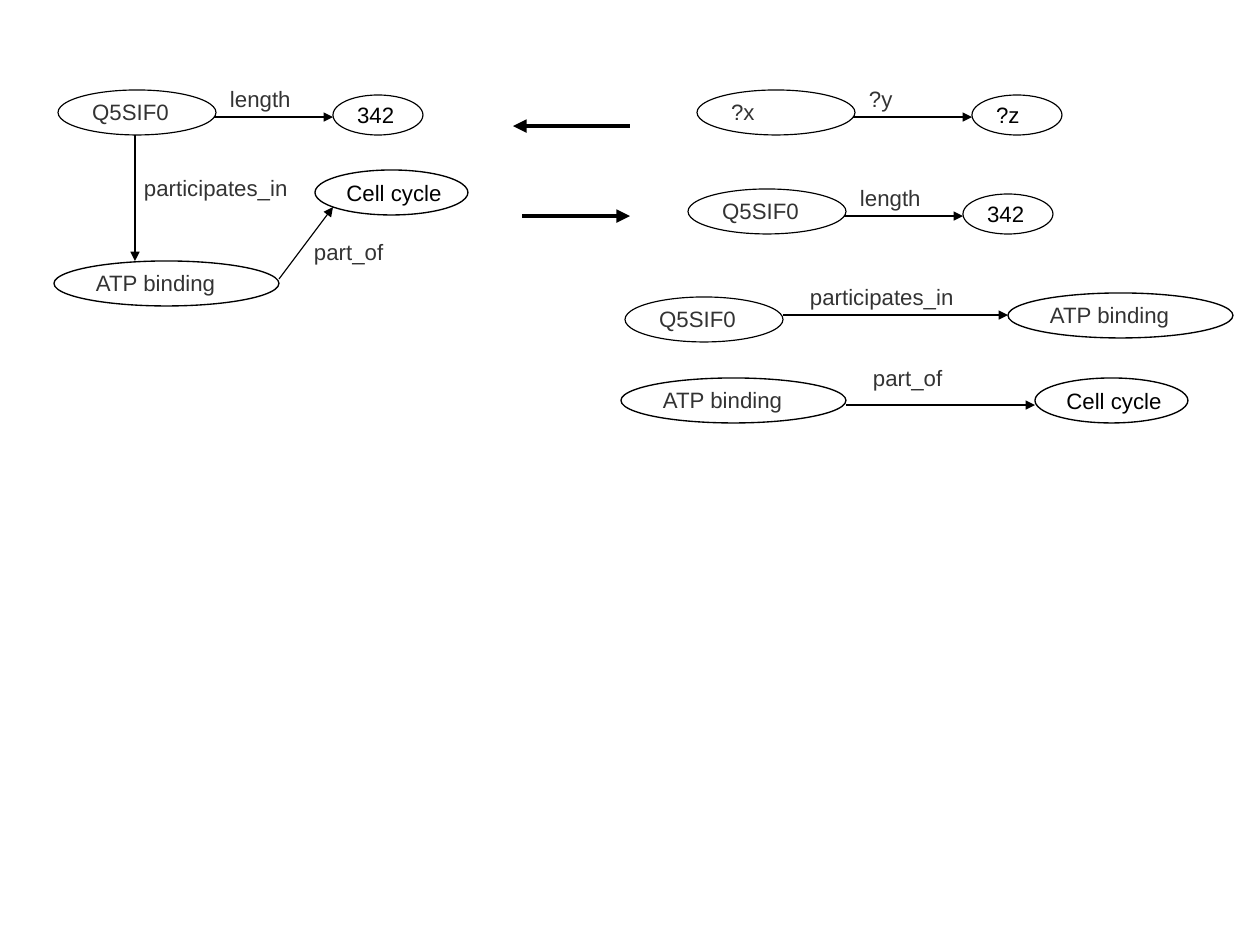
import pptx
import pptx.dml.color
import pptx.enum.shapes
import pptx.enum.text
import pptx.oxml
import pptx.oxml.ns
import pptx.util

EMU_PER_PX = 8000
BLACK, GREY = "000000", "333333"
NODE_KINDS = {
    "protein": {"size": (158, 45), "line": 0.75, "inset": (11, 6), "color": GREY, "spacing": 0.95},
    "value": {"size": (90, 40), "line": 0.75, "inset": (11, 6), "color": BLACK, "spacing": 1.0},
    "function": {"size": (225, 45), "line": 0.85, "inset": (9, 3), "color": GREY, "spacing": 0.95},
    "process": {"size": (153, 45), "line": 0.85, "inset": (9, 3), "color": BLACK, "spacing": 1.0},
}


def px(*lengths):
    """Turn pixel lengths into a list of EMU lengths."""
    return [pptx.util.Emu(length * EMU_PER_PX) for length in lengths]


def rgb(color):
    """Turn a hex string into a colour."""
    return pptx.dml.color.RGBColor.from_string(color)


def apply(target, values):
    """Set each named attribute on the target."""
    for name, value in values.items():
        setattr(target, name, value)


def write(frame, wording, color, spacing, inset, wrap):
    """Put one left-aligned, vertically centred line of text in a frame."""
    across, down = px(*inset)
    apply(frame, {
        "text": wording, "word_wrap": wrap,
        "vertical_anchor": pptx.enum.text.MSO_ANCHOR.MIDDLE,
        "margin_left": across, "margin_right": across,
        "margin_top": down, "margin_bottom": down,
    })
    paragraph = frame.paragraphs[0]
    apply(paragraph, {"alignment": pptx.enum.text.PP_ALIGN.LEFT, "line_spacing": spacing})
    font = paragraph.runs[0].font
    apply(font, {"name": "Arial", "size": pptx.util.Pt(14)})
    font.color.rgb = rgb(color)


def add_node(slide, kind, wording, x, y):
    """Draw an outlined ellipse for one node of the graph."""
    look = NODE_KINDS[kind]
    node = slide.shapes.add_shape(pptx.enum.shapes.MSO_SHAPE.OVAL, *px(x, y, *look["size"]))
    node.shadow.inherit = False
    node.fill.background()
    node.line.color.rgb = rgb(BLACK)
    node.line.width = pptx.util.Pt(look["line"])
    write(node.text_frame, wording, look["color"], look["spacing"], look["inset"], False)


def add_label(slide, wording, x, y, width=179):
    """Write the name of a relation."""
    label = slide.shapes.add_textbox(*px(x, y, width, 37))
    write(label.text_frame, wording, GREY, 0.95, (0, 0), True)


def add_arrow(slide, start, end, weight=0.75):
    """Draw a straight arrow from start to end."""
    arrow = slide.shapes.add_connector(
        pptx.enum.shapes.MSO_CONNECTOR.STRAIGHT, *px(*start, *end))
    arrow.line.color.rgb = rgb(BLACK)
    arrow.line.width = pptx.util.Pt(weight)
    head = pptx.oxml.parse_xml(
        f'<a:tailEnd {pptx.oxml.ns.nsdecls("a")} type="triangle"/>')
    arrow.line._get_or_add_ln().append(head)
    arrow._element.spPr.append(
        pptx.oxml.parse_xml(f'<a:effectLst {pptx.oxml.ns.nsdecls("a")}/>'))


def add_value_triple(slide, x, y, protein, relation, value):
    """Draw a protein, its relation and the value it points to."""
    add_node(slide, "protein", protein, x, y)
    add_node(slide, "value", value, x + 275, y + 5)
    add_label(slide, relation, x + 172, y - 9, 221)
    add_arrow(slide, (x + 156, y + 27), (x + 275, y + 27))


def main():
    """Build the slide of a graph, a query and the matching triples."""
    deck = pptx.Presentation()
    deck.slide_width, deck.slide_height = px(1260, 945)
    slide = deck.slides.add_slide(deck.slide_layouts[6])

    for triple in (
        (58, 90, "Q5SIF0", "length", "342"),
        (697, 90, "?x", "?y", "?z"),
        (688, 189, "Q5SIF0", "length", "342"),
    ):
        add_value_triple(slide, *triple)

    for node in (
        ("function", "ATP binding", 54, 261),
        ("process", "Cell cycle", 315, 170),
        ("protein", "Q5SIF0", 625, 297),
        ("function", "ATP binding", 1008, 293),
        ("function", "ATP binding", 621, 378),
        ("process", "Cell cycle", 1035, 378),
    ):
        add_node(slide, *node)

    for label in (
        ("participates_in", 144, 170),
        ("part_of", 314, 234),
        ("participates_in", 810, 279),
        ("part_of", 873, 360),
    ):
        add_label(slide, *label)

    for arrow in (
        ((135, 135), (135, 261), 0.85),
        ((279, 279), (333, 207)),
        ((783, 315), (1008, 315), 0.85),
        ((846, 405), (1035, 405)),
        ((630, 126), (513, 126), 2.83),
        ((522, 216), (630, 216), 2.83),
    ):
        add_arrow(slide, *arrow)

    deck.save("out.pptx")


if __name__ == "__main__":
    main()
